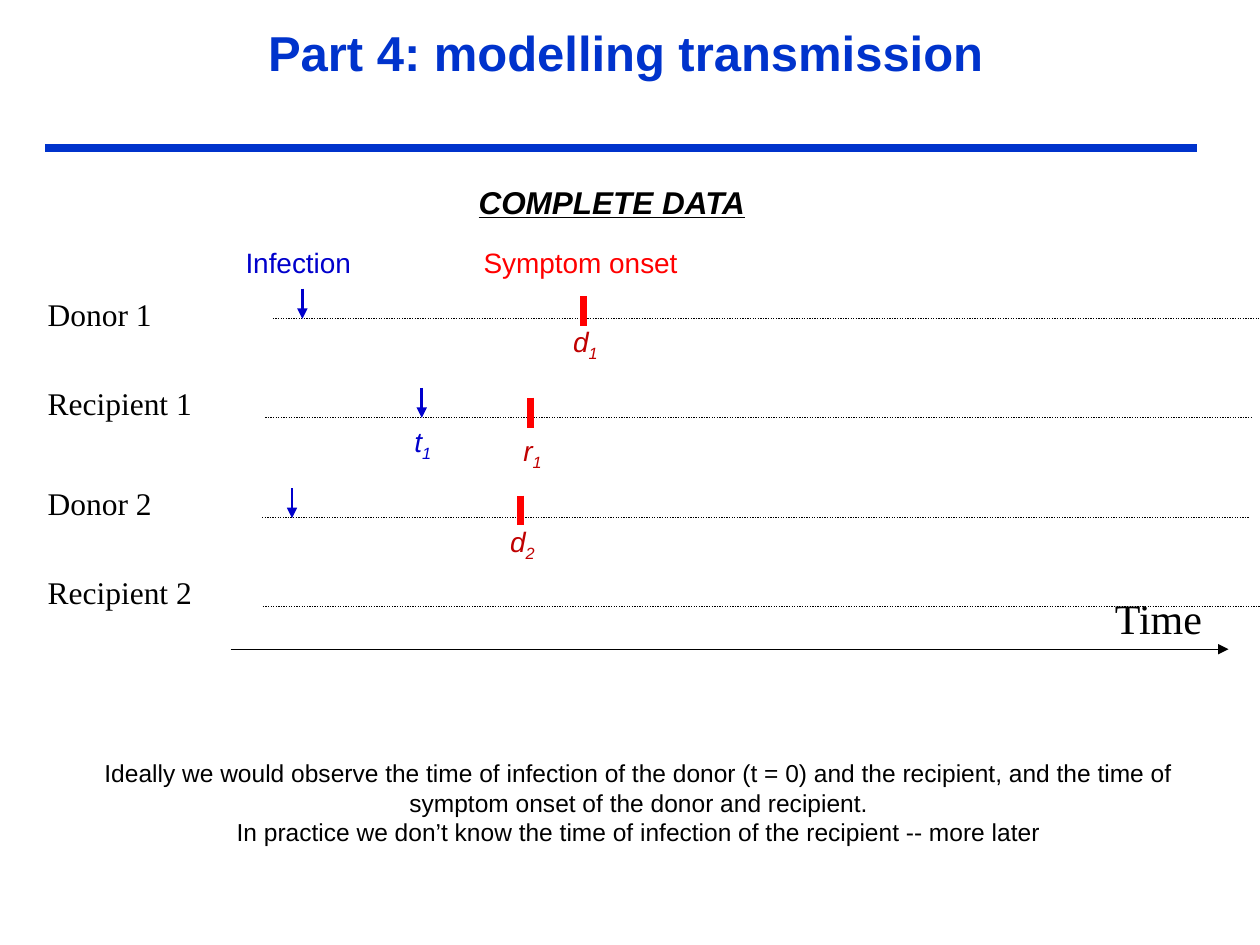
from lxml.etree import SubElement
from pptx import Presentation
from pptx.dml.color import RGBColor
from pptx.enum.dml import MSO_LINE
from pptx.enum.shapes import MSO_CONNECTOR
from pptx.enum.text import MSO_ANCHOR, PP_ALIGN
from pptx.oxml.ns import qn
from pptx.util import Pt

TITLE_BLUE = "0033CC"
INFECTION_BLUE = "0000CC"
ONSET_RED = "FF0000"
SYMBOL_RED = "C00000"
BLACK = "000000"


def color(value):
    return RGBColor.from_string(value)


class TimelineSlide:
    formats = {
        "title": {"name": "Arial", "size": Pt(28), "bold": True},
        "heading": {"name": "Arial", "size": Pt(18), "bold": True,
                    "italic": True, "underline": True},
        "event": {"name": "Arial", "size": Pt(16)},
        "symbol": {"name": "Arial", "size": Pt(16), "italic": True},
        "person": {"name": "Times New Roman", "size": Pt(18)},
        "axis": {"name": "Times New Roman", "size": Pt(24)},
        "note": {"name": "Arial", "size": Pt(14)},
    }

    def __init__(self, presentation):
        self.slide = presentation.slides.add_slide(presentation.slide_layouts[5])

    def place(self, shape, left, top, width, height):
        shape.left, shape.top = Pt(left), Pt(top)
        shape.width, shape.height = Pt(width), Pt(height)

    def add_run(self, paragraph, text, style, text_color):
        run = paragraph.add_run()
        run.text = text
        for attribute, value in self.formats[style].items():
            setattr(run.font, attribute, value)
        run.font.color.rgb = color(text_color)
        return run

    def title(self, text, left, top, width, height):
        shape = self.slide.shapes.title
        self.place(shape, left, top, width, height)
        shape.text_frame.vertical_anchor = MSO_ANCHOR.TOP
        paragraph = shape.text_frame.paragraphs[0]
        paragraph.alignment = PP_ALIGN.CENTER
        self.add_run(paragraph, text, "title", TITLE_BLUE)

    def text(self, lines, left, top, width, height, style,
             text_color=BLACK, alignment=PP_ALIGN.LEFT, margin=3.6):
        shape = self.slide.shapes.add_textbox(
            Pt(left), Pt(top), Pt(width), Pt(height))
        frame = shape.text_frame
        frame.word_wrap = True
        frame.margin_top = frame.margin_bottom = Pt(margin)
        for index, line in enumerate(lines):
            paragraph = frame.add_paragraph() if index else frame.paragraphs[0]
            paragraph.alignment = alignment
            self.add_run(paragraph, line, style, text_color)
        return shape

    def symbol(self, letter, subscript, left, top, width, text_color):
        shape = self.text([letter], left, top, width, 26.6, "symbol", text_color)
        paragraph = shape.text_frame.paragraphs[0]
        run = self.add_run(paragraph, subscript, "symbol", text_color)
        run._r.get_or_add_rPr().set("baseline", "-25000")

    def line(self, start, end, line_color=BLACK, width=0.75, dotted=False, arrow=False):
        connector = self.slide.shapes.add_connector(
            MSO_CONNECTOR.STRAIGHT, *(Pt(value) for value in start + end))
        connector.line.color.rgb = color(line_color)
        connector.line.width = Pt(width)
        if dotted:
            connector.line.dash_style = MSO_LINE.ROUND_DOT
        if arrow:
            SubElement(connector.line._get_or_add_ln(), qn("a:tailEnd"), type="triangle")
        SubElement(connector._element.spPr, qn("a:effectLst"))

    def person(self, name, label_top, y, left, right):
        self.text([name], 20.2, label_top, 108, 28.8, "person")
        self.line((left, y), (right, y), dotted=True)

    def infection(self, x, y):
        self.line((x, y - 17.2), (x, y), INFECTION_BLUE, 1.5, arrow=True)

    def onset(self, x, top):
        self.line((x, top), (x, top + 17), ONSET_RED, 4)


def main():
    presentation = Presentation()
    presentation.slide_width, presentation.slide_height = Pt(720), Pt(540)
    page = TimelineSlide(presentation)

    page.line((25.9, 84.4), (684, 84.4), TITLE_BLUE, 4.5)
    page.title("Part 4: modelling transmission", 110.9, 9.4, 493.2, 74.9)
    page.text(["COMPLETE DATA"], 266.4, 100.8, 234.7, 28.8, "heading")
    page.text(["Infection"], 133.2, 136.8, 75.6, 26.6, "event", INFECTION_BLUE)
    page.text(["Symptom onset"], 269.3, 136.8, 126.7, 26.6, "event", ONSET_RED)

    for person in (
        ("Donor 1", 164.9, 182.2, 155.9, 720),
        ("Recipient 1", 216, 238.6, 151.6, 715.7),
        ("Donor 2", 272.9, 295.9, 149.8, 714.2),
        ("Recipient 2", 324, 346.5, 150.2, 720),
    ):
        page.person(*person)

    for x, y in ((172.8, 182.2), (241.0, 238.8), (166.9, 296.1)):
        page.infection(x, y)
    for x, top in ((333.5, 169.2), (303.1, 227.3), (297.4, 283.2)):
        page.onset(x, top)

    for symbol in (
        ("d", "1", 320.4, 182.2, 29.5, SYMBOL_RED),
        ("t", "1", 229.7, 239.0, 25.2, INFECTION_BLUE),
        ("r", "1", 292.0, 244.1, 29.5, SYMBOL_RED),
        ("d", "2", 284.4, 296.2, 29.5, SYMBOL_RED),
    ):
        page.symbol(*symbol)

    page.line((131.8, 371), (702, 371), arrow=True)
    page.text(["Time"], 630, 334.8, 90, 36, "axis")
    page.text([
        "Ideally we would observe the time of infection of the donor (t = 0) and the "
        "recipient, and the time of symptom onset of the donor and recipient.",
        "In practice we don’t know the time of infection of the recipient -- more later",
    ], 42.5, 426.2, 645.1, 41.8, "note", alignment=PP_ALIGN.CENTER, margin=7.2)

    presentation.save("out.pptx")


if __name__ == "__main__":
    main()
